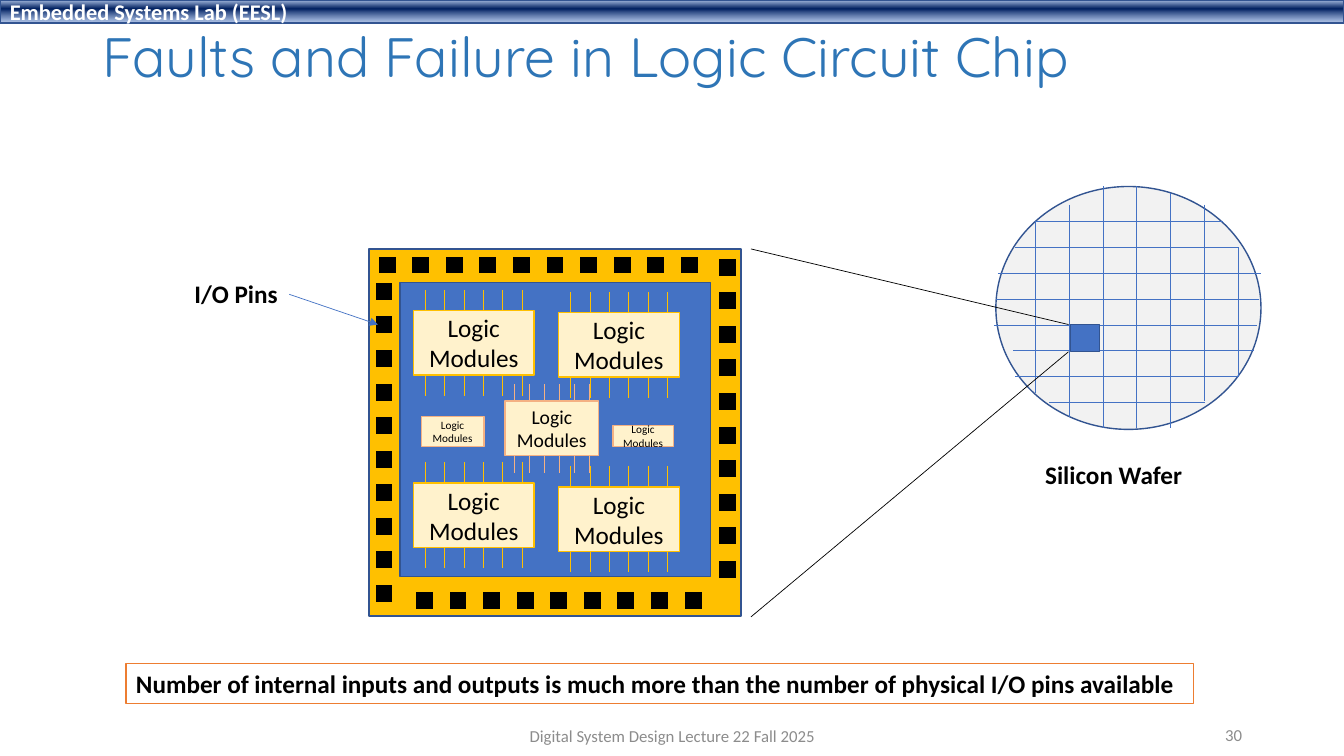
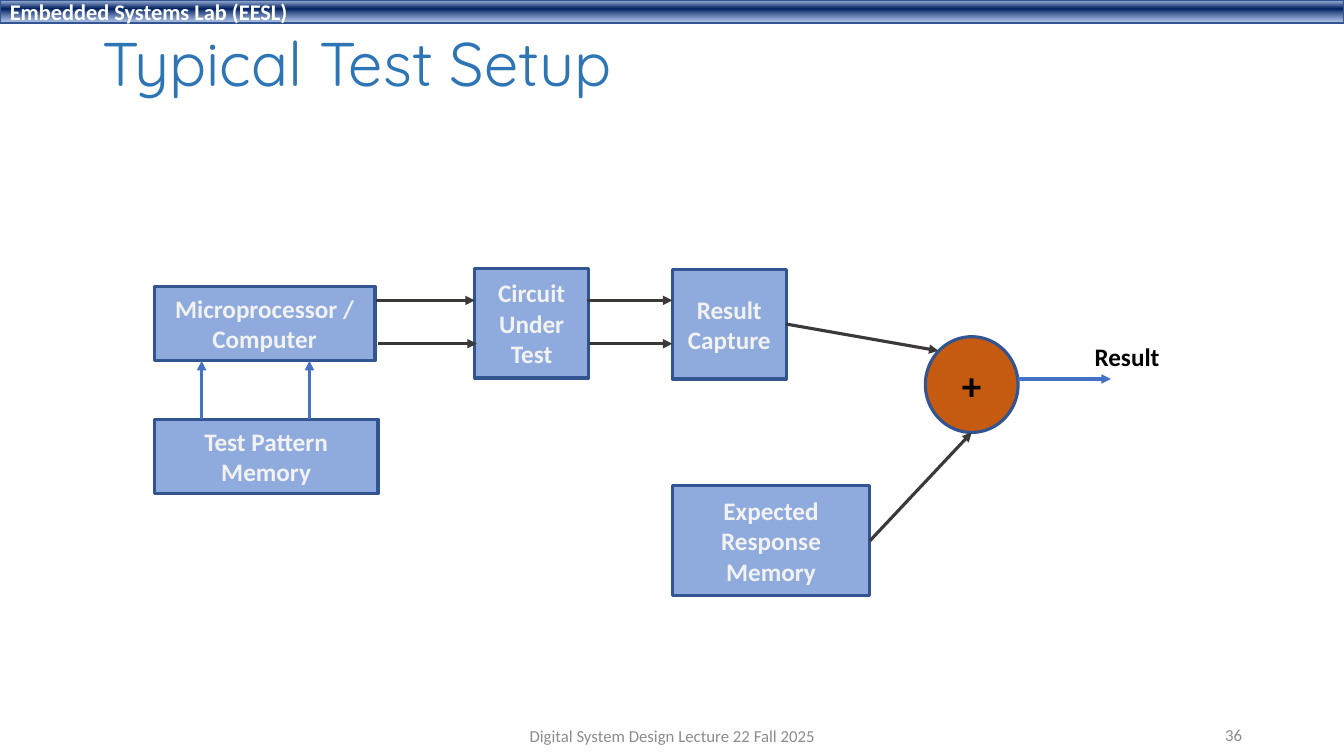
"""Build two lecture slides on chip faults and test setups, on a grid of tenth-inch cells."""
import dataclasses
import typing

import lxml.etree
import pptx
import pptx.dml.color
import pptx.enum.dml
import pptx.enum.shapes
import pptx.enum.text
import pptx.oxml.ns
import pptx.shapes.autoshape
import pptx.shapes.connector
import pptx.slide
import pptx.util

COLUMNS, ROWS, CELL = 133.33, 75, 0.1
BODY_FONT, TITLE_FONT = "Calibri", "Quicksand"
BLACK, WHITE, GREY, PALE = "000000", "FFFFFF", "8C8C8C", "F2F2F2"
TITLE_BLUE, BLUE, EDGE_BLUE, BLOCK_BLUE = "2E75B6", "4472C4", "325491", "8FAADC"
GOLD, CREAM, PEACH, ORANGE, RUST, DARK = "FFC000", "FFF2CC", "F4B183", "ED7D31", "C55A11", "3B3838"
BAND_STOPS = ((2, "ABC0E4", 100), (38, "002060", 100), (93, "7E9ED6", 64))

RECTANGLE = pptx.enum.shapes.MSO_SHAPE.RECTANGLE
OVAL = pptx.enum.shapes.MSO_SHAPE.OVAL
ALIGN = pptx.enum.text.PP_ALIGN
ANCHOR = pptx.enum.text.MSO_ANCHOR

Shape = pptx.shapes.autoshape.Shape
Connector = pptx.shapes.connector.Connector
Slide = pptx.slide.Slide


class Box(typing.NamedTuple):
    column: float
    row: float
    columns: float
    rows: float


class Segment(typing.NamedTuple):
    start_column: float
    start_row: float
    end_column: float
    end_row: float


@dataclasses.dataclass(frozen=True)
class Module:
    box: Box
    size: float
    edge: str
    pins: int = 6


@dataclasses.dataclass(frozen=True)
class Block:
    text: str
    box: Box


MODULES = (
    Module(Box(50.1, 39.8, 9.3, 5.4), 14, PEACH),
    Module(Box(60.8, 42.2, 6, 2.1), 8, PEACH, 0),
    Module(Box(41.8, 41.3, 6.2, 3), 8, PEACH, 0),
    Module(Box(41, 30.8, 12, 6.4), 18, GOLD),
    Module(Box(55.4, 31, 12, 6.4), 18, GOLD),
    Module(Box(41, 47.9, 12, 6.4), 18, GOLD),
    Module(Box(55.4, 48.3, 12, 6.4), 18, GOLD),
)
PIN_ROWS = (
    Segment(38.4, 26.3, 70.8, 26.3),
    Segment(42.1, 59.6, 72, 59.6),
    Segment(38.1, 28.9, 38.1, 59.4),
    Segment(72.2, 26.5, 72.2, 59.8),
)
WAFER_COLUMN_SPANS = ((22, 39), (20.3, 41.4), (18.5, 42.5), (18.5, 42.5),
                      (19.1, 42.5), (20.3, 39.8), (24.6, 37.3))
WAFER_ROW_SPANS = ((102.7, 121.3), (100.7, 122.9), (99, 125.1), (98.8, 124.9),
                   (98.6, 124.7), (100.5, 124.4), (100.7, 122.9), (104.1, 119.5))

CAPTURE = Block("Result Capture", Box(66.7, 26.7, 11.3, 10.9))
EXPECTED = Block("Expected Response Memory", Box(66.7, 48.2, 19.6, 10.9))
BLOCKS = (
    Block("Microprocessor / Computer", Box(15.3, 28.4, 21.9, 7.4)),
    Block("Circuit Under Test", Box(47.1, 26.6, 11.3, 10.9)),
    CAPTURE,
    EXPECTED,
    Block("Test Pattern Memory", Box(15.3, 41.6, 22.2, 7.4)),
)
BLOCK_ARROWS = (
    (CAPTURE, Segment(78, 32.1, 93.1, 34.8)),
    (EXPECTED, Segment(86.3, 53.7, 96.4, 42.9)),
)
SIGNAL_ARROWS = (
    (DARK, Segment(37.3, 29.8, 47.1, 29.8)),
    (DARK, Segment(37.5, 34.1, 47.3, 34.1)),
    (DARK, Segment(58.2, 29.8, 66.7, 29.8)),
    (DARK, Segment(58.4, 34.1, 66.7, 34.1)),
    (BLUE, Segment(20, 41.6, 20, 35.8)),
    (BLUE, Segment(30.7, 41.6, 30.7, 35.8)),
    (BLUE, Segment(101, 37.6, 110.2, 37.6)),
)


def cells(count: float) -> int:
    return pptx.util.Inches(count * CELL)


def rgb(value: str) -> pptx.dml.color.RGBColor:
    return pptx.dml.color.RGBColor.from_string(value)


def child(parent: typing.Any, tag: str, **attributes: str) -> typing.Any:
    return lxml.etree.SubElement(parent, pptx.oxml.ns.qn(tag), attributes)


def write(shape: Shape, text: str, *, size: float = 18, color: str = BLACK, bold: bool = False,
          font: str = BODY_FONT, align: ALIGN = ALIGN.LEFT, anchor: ANCHOR = ANCHOR.MIDDLE,
          wrap: bool = True, spacing: float = 1.0) -> None:
    frame = shape.text_frame
    frame.word_wrap = wrap
    frame.vertical_anchor = anchor
    paragraph = frame.paragraphs[0]
    paragraph.alignment = align
    paragraph.line_spacing = spacing
    run = paragraph.add_run()
    run.text = text
    run.font.name, run.font.size, run.font.bold = font, pptx.util.Pt(size), bold
    run.font.color.rgb = rgb(color)


def add_label(slide: Slide, box: Box, text: str, **style: typing.Any) -> None:
    write(slide.shapes.add_textbox(*map(cells, box)), text, **style)


def add_box(slide: Slide, box: Box, fill: str, edge: str = EDGE_BLUE, width: float = 1,
            kind: pptx.enum.shapes.MSO_SHAPE = RECTANGLE) -> Shape:
    shape = slide.shapes.add_shape(kind, *map(cells, box))
    shape.shadow.inherit = False
    shape.fill.solid()
    shape.fill.fore_color.rgb = rgb(fill)
    shape.line.color.rgb = rgb(edge)
    shape.line.width = pptx.util.Pt(width)
    return shape


def add_line(slide: Slide, segment: Segment, color: str, width: float = 0.5,
             arrow: bool = False, dotted: bool = False) -> Connector:
    connector = slide.shapes.add_connector(
        pptx.enum.shapes.MSO_CONNECTOR.STRAIGHT, *map(cells, segment))
    connector.line.color.rgb = rgb(color)
    connector.line.width = pptx.util.Pt(width)
    properties = connector.element.spPr
    outline = properties.find(pptx.oxml.ns.qn("a:ln"))
    if dotted:
        connector.line.dash_style = pptx.enum.dml.MSO_LINE.ROUND_DOT
        outline.set("cap", "sq")
    if arrow:
        child(outline, "a:tailEnd", type="triangle")
    child(properties, "a:effectLst")
    return connector


def add_band(slide: Slide) -> None:
    band = add_box(slide, Box(0, 0, COLUMNS, 2.3), BLUE)
    band.fill.gradient()
    band.fill.gradient_angle = 270
    stops = band.element.spPr.find(".//" + pptx.oxml.ns.qn("a:gsLst"))
    for stop in list(stops):
        stops.remove(stop)
    for position, color, opacity in BAND_STOPS:
        stop = child(stops, "a:gs", pos=str(position * 1000))
        tint = child(stop, "a:srgbClr", val=color)
        if opacity < 100:
            child(tint, "a:alpha", val=str(opacity * 1000))
    write(band, "Embedded Systems Lab (EESL)", size=16, color=WHITE, bold=True)


def add_slide(presentation: typing.Any, title: str, title_box: Box, title_size: float,
              number: int) -> Slide:
    slide = presentation.slides.add_slide(presentation.slide_layouts[6])
    add_band(slide)
    add_label(slide, title_box, title, size=title_size, color=TITLE_BLUE,
              font=TITLE_FONT, spacing=0.9)
    add_label(slide, Box(44.2, 71, 45, 4), "Digital System Design Lecture 22 Fall 2025",
              size=12, color=GREY, align=ALIGN.CENTER)
    add_label(slide, Box(94.2, 70.9, 30, 4), str(number), size=12, color=GREY, align=ALIGN.RIGHT)
    return slide


def add_module(slide: Slide, module: Module) -> None:
    box = module.box
    shape = add_box(slide, box, CREAM, module.edge)
    write(shape, "Logic Modules", size=module.size, align=ALIGN.CENTER)
    length = 0.32 * box.rows
    for top in (box.row - length, box.row + box.rows):
        for pin in range(module.pins):
            column = box.column + box.columns * (0.1 + 0.16 * pin)
            add_line(slide, Segment(column, top, column, top + length), module.edge)


def add_chip(slide: Slide) -> None:
    add_box(slide, Box(36.6, 24.7, 36.9, 36.4), GOLD)
    add_box(slide, Box(39.7, 28, 30.8, 29.2), BLUE)
    for pin_row in PIN_ROWS:
        add_line(slide, pin_row, BLACK, 12, dotted=True)
    for module in MODULES:
        add_module(slide, module)


def add_wafer(slide: Slide) -> None:
    add_box(slide, Box(98.8, 18.5, 26.3, 24.1), PALE, kind=OVAL)
    for index, (top, bottom) in enumerate(WAFER_COLUMN_SPANS):
        column = 102.7 + 3.36 * index
        add_line(slide, Segment(column, top, column, bottom), BLUE)
    for index, (left, right) in enumerate(WAFER_ROW_SPANS):
        row = 22 + 2.56 * index
        add_line(slide, Segment(left, row, right, row), BLUE)
    add_box(slide, Box(106.2, 32.2, 2.9, 2.7), BLUE)


def build_chip_slide(presentation: typing.Any) -> None:
    slide = add_slide(presentation, "Faults and Failure in Logic Circuit Chip",
                      Box(9.2, 1.5, 115, 8.9), 39.6, 30)
    add_chip(slide)
    add_wafer(slide)
    for die_row, chip_row in ((32.2, 24.7), (34.9, 61.2)):
        add_line(slide, Segment(106, die_row, 74.5, chip_row), BLACK)
    label = {"bold": True, "wrap": False, "anchor": ANCHOR.TOP}
    add_label(slide, Box(102.7, 45.1, 15.7, 4), "Silicon Wafer", **label)
    add_label(slide, Box(18.3, 27.1, 10.4, 4), "I/O Pins", **label)
    add_line(slide, Segment(28.7, 29.2, 37.5, 32.2), BLUE, arrow=True)
    note = add_box(slide, Box(12.5, 65.8, 105.9, 4), WHITE, ORANGE)
    write(note, "Number of internal inputs and outputs is much more than "
                "the number of physical I/O pins available", **label)


def build_test_slide(presentation: typing.Any) -> None:
    slide = add_slide(presentation, "Typical Test Setup", Box(9.2, 2.3, 115, 8.6), 44, 36)
    shapes = {}
    for block in BLOCKS:
        shape = add_box(slide, block.box, BLOCK_BLUE, width=2.25)
        write(shape, block.text, color=PALE, bold=True, align=ALIGN.CENTER)
        shapes[block.text] = shape
    comparator = add_box(slide, Box(91.8, 33.4, 9.2, 9.5), RUST, width=2.25, kind=OVAL)
    write(comparator, "+", size=28, bold=True, align=ALIGN.CENTER)
    for block, segment in BLOCK_ARROWS:
        arrow = add_line(slide, segment, DARK, 2.25, arrow=True)
        arrow.begin_connect(shapes[block.text], 3)
    for color, segment in SIGNAL_ARROWS:
        add_line(slide, segment, color, 2.25, arrow=True)
    add_label(slide, Box(107.6, 33.4, 8.5, 4), "Result", bold=True, wrap=False, anchor=ANCHOR.TOP)


def main() -> None:
    presentation = pptx.Presentation()
    presentation.slide_width, presentation.slide_height = cells(COLUMNS), cells(ROWS)
    build_chip_slide(presentation)
    build_test_slide(presentation)
    presentation.save("out.pptx")


if __name__ == "__main__":
    main()
